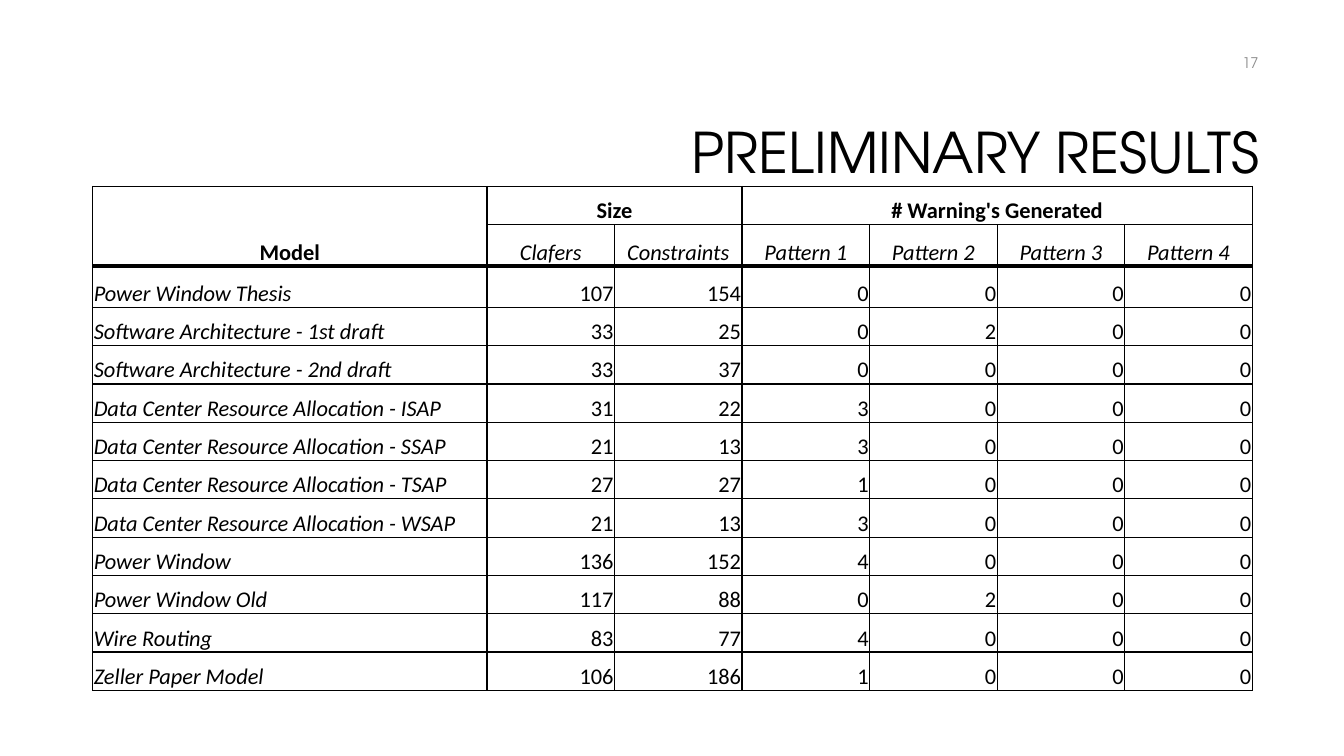
from lxml.etree import SubElement
from pptx import Presentation
from pptx.dml.color import RGBColor
from pptx.enum.text import MSO_ANCHOR, PP_ALIGN
from pptx.oxml.ns import qn
from pptx.util import Inches, Pt

BLACK, WHITE, GRAY = "000000", "FFFFFF", "8C8C8C"
HEADING_FONT, TABLE_FONT = "TeX Gyre Adventor", "Calibri"
GROUPS = [("Model", 0, 0, 1, 0), ("Size", 0, 1, 0, 2), ("# Warning's Generated", 0, 3, 0, 6)]
MEASURES = ["Clafers", "Constraints", "Pattern 1", "Pattern 2", "Pattern 3", "Pattern 4"]
MODELS = [
    ("Power Window Thesis", 107, 154, 0, 0, 0, 0),
    ("Software Architecture - 1st draft", 33, 25, 0, 2, 0, 0),
    ("Software Architecture - 2nd draft", 33, 37, 0, 0, 0, 0),
    ("Data Center Resource Allocation - ISAP", 31, 22, 3, 0, 0, 0),
    ("Data Center Resource Allocation - SSAP", 21, 13, 3, 0, 0, 0),
    ("Data Center Resource Allocation - TSAP", 27, 27, 1, 0, 0, 0),
    ("Data Center Resource Allocation - WSAP", 21, 13, 3, 0, 0, 0),
    ("Power Window", 136, 152, 4, 0, 0, 0),
    ("Power Window Old", 117, 88, 0, 2, 0, 0),
    ("Wire Routing", 83, 77, 4, 0, 0, 0),
    ("Zeller Paper Model", 106, 186, 1, 0, 0, 0),
]


def color(hex_string):
    """Return the colour for a hex string."""
    return RGBColor.from_string(hex_string)


def write(frame, text, size=16, font=TABLE_FONT, ink=BLACK, align=PP_ALIGN.LEFT,
          bold=False, italic=False, spacing=None):
    """Write one formatted paragraph into a text frame."""
    paragraph = frame.paragraphs[0]
    paragraph.alignment = align
    paragraph.line_spacing = spacing
    run = paragraph.add_run()
    run.text = text
    run.font.size = Pt(size)
    run.font.name = font
    run.font.bold = bold
    run.font.italic = italic
    run.font.color.rgb = color(ink)


def heading(slide, box, text, **style):
    """Place a right-aligned, vertically centred heading text in its box."""
    frame = slide.shapes.add_textbox(*map(Inches, box)).text_frame
    frame.word_wrap = True
    frame.vertical_anchor = MSO_ANCHOR.MIDDLE
    write(frame, text, font=HEADING_FONT, align=PP_ALIGN.RIGHT, **style)


def border(cell, **widths):
    """Draw the four cell borders with the given point widths."""
    properties = cell._tc.get_or_add_tcPr()
    for side in "LRTB":
        line = SubElement(properties, qn(f"a:ln{side}"), w=str(Pt(widths.get(side, 1))))
        fill = SubElement(line, qn("a:solidFill"))
        SubElement(fill, qn("a:srgbClr"), val=BLACK)


def format_cell(cell, row):
    """Set the insets, anchor, borders and fill of a cell."""
    cell.margin_left = cell.margin_right = cell.margin_top = Inches(0.01)
    cell.margin_bottom = 0
    cell.vertical_anchor = MSO_ANCHOR.BOTTOM
    border(cell, T=3 if row == 2 else 1, B=3 if row == 1 else 1)
    cell.fill.solid()
    cell.fill.fore_color.rgb = color(WHITE)


def results_table(slide, box):
    """Build the table of model sizes and warnings in its box."""
    left, top, width, height = box
    row_count, column_count = len(MODELS) + 2, len(MEASURES) + 1
    table = slide.shapes.add_table(row_count, column_count, *map(Inches, box)).table
    model_width = 3.91
    for index, column in enumerate(table.columns):
        share = (width - model_width) / len(MEASURES)
        column.width = Inches(share if index else model_width)
    for index, row in enumerate(table.rows):
        row.height = Inches(0.41 if index in (1, 2) else 0.38)
        for cell in row.cells:
            format_cell(cell, index)
    for label, row, column, last_row, last_column in GROUPS:
        cell = table.cell(row, column)
        cell.merge(table.cell(last_row, last_column))
        write(cell.text_frame, label, bold=True, align=PP_ALIGN.CENTER)
    for column, measure in enumerate(MEASURES, 1):
        write(table.cell(1, column).text_frame, measure, italic=True, align=PP_ALIGN.CENTER)
    for row, (model, *counts) in enumerate(MODELS, 2):
        write(table.cell(row, 0).text_frame, model, italic=True)
        for column, count in enumerate(counts, 1):
            write(table.cell(row, column).text_frame, str(count), align=PP_ALIGN.RIGHT)


def results_slide(deck):
    """Add the slide with its title, results table and page number."""
    slide = deck.slides.add_slide(deck.slide_layouts[6])
    heading(slide, (3.17, 0.84, 9.42, 1.41), "PRELIMINARY RESULTS", size=40, spacing=0.9)
    results_table(slide, (0.92, 1.85, 11.5, 5.01))
    heading(slide, (9.58, 0.42, 3, 0.4), "17", size=10.5, ink=GRAY)


deck = Presentation()
deck.slide_width, deck.slide_height = Inches(13.33), Inches(7.5)
results_slide(deck)
deck.save("out.pptx")
